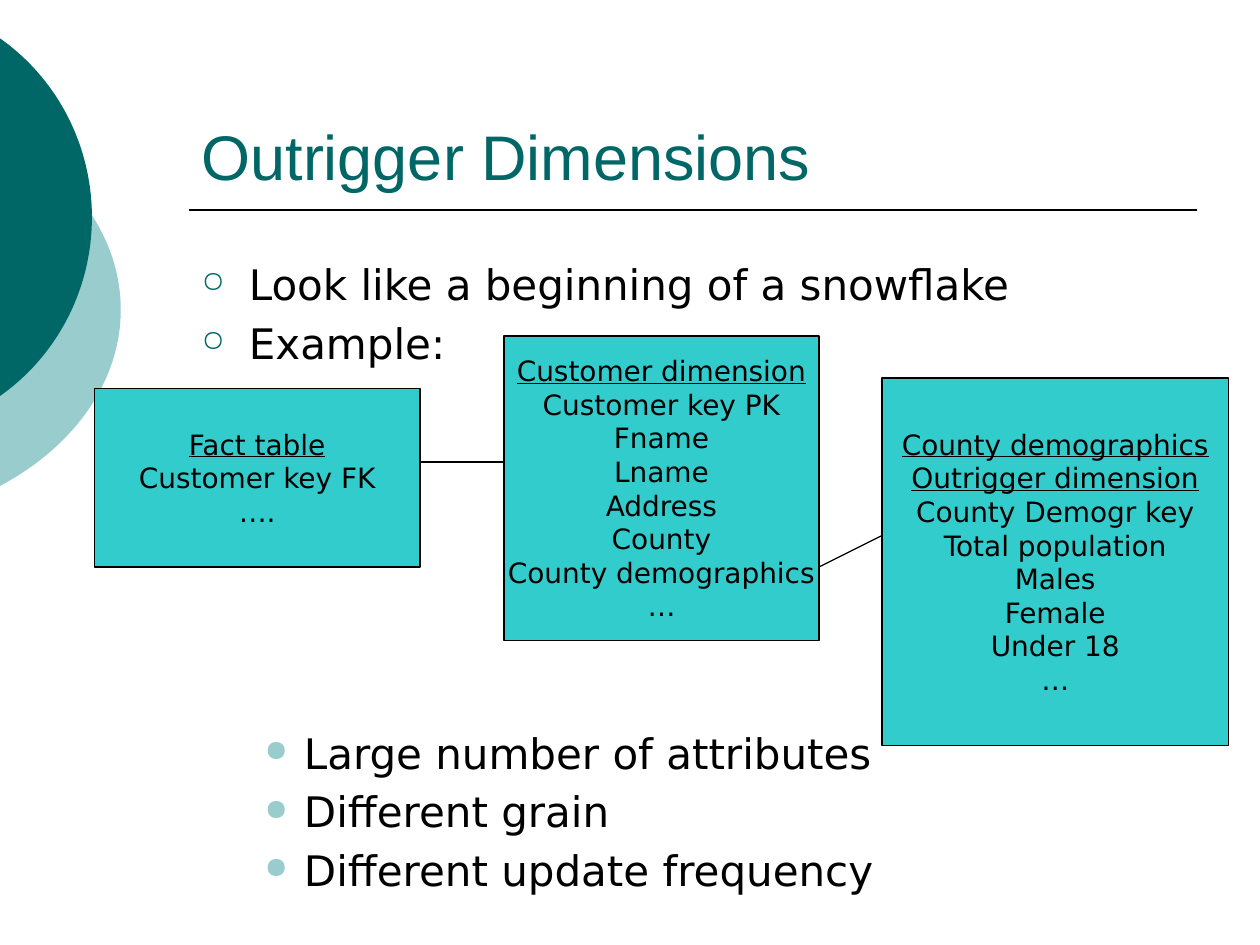
from dataclasses import dataclass

from lxml import etree
from pptx import Presentation
from pptx.dml.color import RGBColor
from pptx.enum.shapes import MSO_CONNECTOR, MSO_SHAPE
from pptx.enum.text import MSO_ANCHOR, MSO_AUTO_SIZE, PP_ALIGN
from pptx.oxml.ns import qn
from pptx.util import Emu, Pt

PX = 9525  # EMU per px, 96 px to the inch
LEFT, CENTER = PP_ALIGN.LEFT, PP_ALIGN.CENTER
TOP, MIDDLE, BOTTOM = MSO_ANCHOR.TOP, MSO_ANCHOR.MIDDLE, MSO_ANCHOR.BOTTOM
RECTANGLE, OVAL, STRAIGHT = MSO_SHAPE.RECTANGLE, MSO_SHAPE.OVAL, MSO_CONNECTOR.STRAIGHT
NO_AUTOFIT = MSO_AUTO_SIZE.NONE
COLORS = {"dark": "006666", "pale": "99CCCC", "box": "33CCCC", "ink": "000000"}
TITLE_FONT, BODY_FONT, BULLET_FONT = "Arial", "DejaVu Sans", "OpenSymbol"


@dataclass
class Area:
    left: int
    top: int
    width: int
    height: int


@dataclass
class Disc:
    area: Area
    color: str


@dataclass
class TableBox:
    area: Area
    headings: list[str]
    fields: list[str]


@dataclass
class Line:
    start: tuple[int, int]
    end: tuple[int, int]
    points: float = 0.75


@dataclass
class Level:
    margin: int
    hanging: int
    bullet: str
    color: str


@dataclass
class Item:
    text: str
    level: int
    space_before: float = 4.8


TITLE_AREA = Area(144, 32, 768, 120)
LIST_AREA = Area(144, 192, 768, 432)
DISCS = [
    Disc(Area(-340, 72, 432, 328), "pale"),
    Disc(Area(-254, 0, 324, 331), "dark"),
]
BOXES = [
    TableBox(Area(72, 296, 248, 136), ["Fact table"], ["Customer key FK", "…."]),
    TableBox(Area(384, 256, 240, 232), ["Customer dimension"],
             ["Customer key PK", "Fname", "Lname", "Address", "County",
              "County demographics", "…"]),
    TableBox(Area(672, 288, 264, 280),
             ["County demographics", "Outrigger dimension"],
             ["County Demogr key", "Total population", "Males", "Female",
              "Under 18", "…"]),
]
LINES = [
    Line((144, 160), (912, 160), 1),
    Line((320, 352), (384, 352)),
    Line((624, 432), (672, 408)),
]
LEVELS = [Level(36, 36, "○", "dark"), Level(78, 30, "●", "pale")]
ITEMS = [
    Item("Look like a beginning of a snowflake", 0),
    Item("Example:", 0),
    Item("Large number of attributes", 1, 205.5),  # leaves room for the diagram
    Item("Different grain", 1),
    Item("Different update frequency", 1),
]


def px(length: int) -> Emu:
    return Emu(length * PX)


def color(name: str) -> RGBColor:
    return RGBColor.from_string(COLORS[name])


def format_text(paragraph, font_name: str, size: int, color_name: str, alignment) -> None:
    paragraph.alignment = alignment
    for run in paragraph.runs:
        run.font.name = font_name
        run.font.size = Pt(size)
        run.font.color.rgb = color(color_name)


def place(placeholder, area: Area, anchor) -> None:
    placeholder.left, placeholder.top = px(area.left), px(area.top)
    placeholder.width, placeholder.height = px(area.width), px(area.height)
    placeholder.text_frame.auto_size = NO_AUTOFIT
    placeholder.text_frame.vertical_anchor = anchor


def add_bullet(paragraph, level: Level) -> None:
    properties = paragraph._p.get_or_add_pPr()
    properties.set("marL", str(px(level.margin)))
    properties.set("indent", str(-px(level.hanging)))
    bullet_color = etree.SubElement(properties, qn("a:buClr"))
    etree.SubElement(bullet_color, qn("a:srgbClr"), val=COLORS[level.color])
    etree.SubElement(properties, qn("a:buSzPct"), val="70000")
    etree.SubElement(properties, qn("a:buFont"), typeface=BULLET_FONT)
    etree.SubElement(properties, qn("a:buChar"), char=level.bullet)


def draw_title(title) -> None:
    place(title, TITLE_AREA, BOTTOM)
    title.text_frame.text = "Outrigger Dimensions"
    format_text(title.text_frame.paragraphs[0], TITLE_FONT, 36, "dark", LEFT)


def draw_list(body) -> None:
    place(body, LIST_AREA, TOP)
    body.text_frame.text = "\n".join(item.text for item in ITEMS)
    for paragraph, item in zip(body.text_frame.paragraphs, ITEMS):
        paragraph.level = item.level
        paragraph.space_before = Pt(item.space_before)
        format_text(paragraph, BODY_FONT, 24, "ink", LEFT)
        add_bullet(paragraph, LEVELS[item.level])


def add_filled_shape(slide, kind, area: Area, color_name: str):
    shape = slide.shapes.add_shape(
        kind, px(area.left), px(area.top), px(area.width), px(area.height))
    shape.shadow.inherit = False
    shape.fill.solid()
    shape.fill.fore_color.rgb = color(color_name)
    return shape


def draw_disc(slide, disc: Disc) -> None:
    add_filled_shape(slide, OVAL, disc.area, disc.color).line.fill.background()


def draw_box(slide, box: TableBox) -> None:
    shape = add_filled_shape(slide, RECTANGLE, box.area, "box")
    shape.line.color.rgb = color("ink")
    shape.line.width = Pt(0.75)
    frame = shape.text_frame
    frame.word_wrap = False
    frame.vertical_anchor = MIDDLE
    frame.text = "\n".join(box.headings + box.fields)
    for index, paragraph in enumerate(frame.paragraphs):
        format_text(paragraph, BODY_FONT, 16, "ink", CENTER)
        paragraph.runs[0].font.underline = index < len(box.headings)


def draw_line(slide, line: Line) -> None:
    connector = slide.shapes.add_connector(
        STRAIGHT, *(px(value) for value in line.start + line.end))
    connector.line.color.rgb = color("ink")
    connector.line.width = Pt(line.points)
    etree.SubElement(connector._element.spPr, qn("a:effectLst"))


def main() -> None:
    presentation = Presentation()
    presentation.slide_width, presentation.slide_height = px(960), px(720)
    slide = presentation.slides.add_slide(presentation.slide_layouts[1])
    draw_title(slide.shapes.title)
    draw_list(slide.placeholders[1])
    for disc in DISCS:
        draw_disc(slide, disc)
    for box in BOXES:
        draw_box(slide, box)
    for line in LINES:
        draw_line(slide, line)
    presentation.save("out.pptx")


if __name__ == "__main__":
    main()
